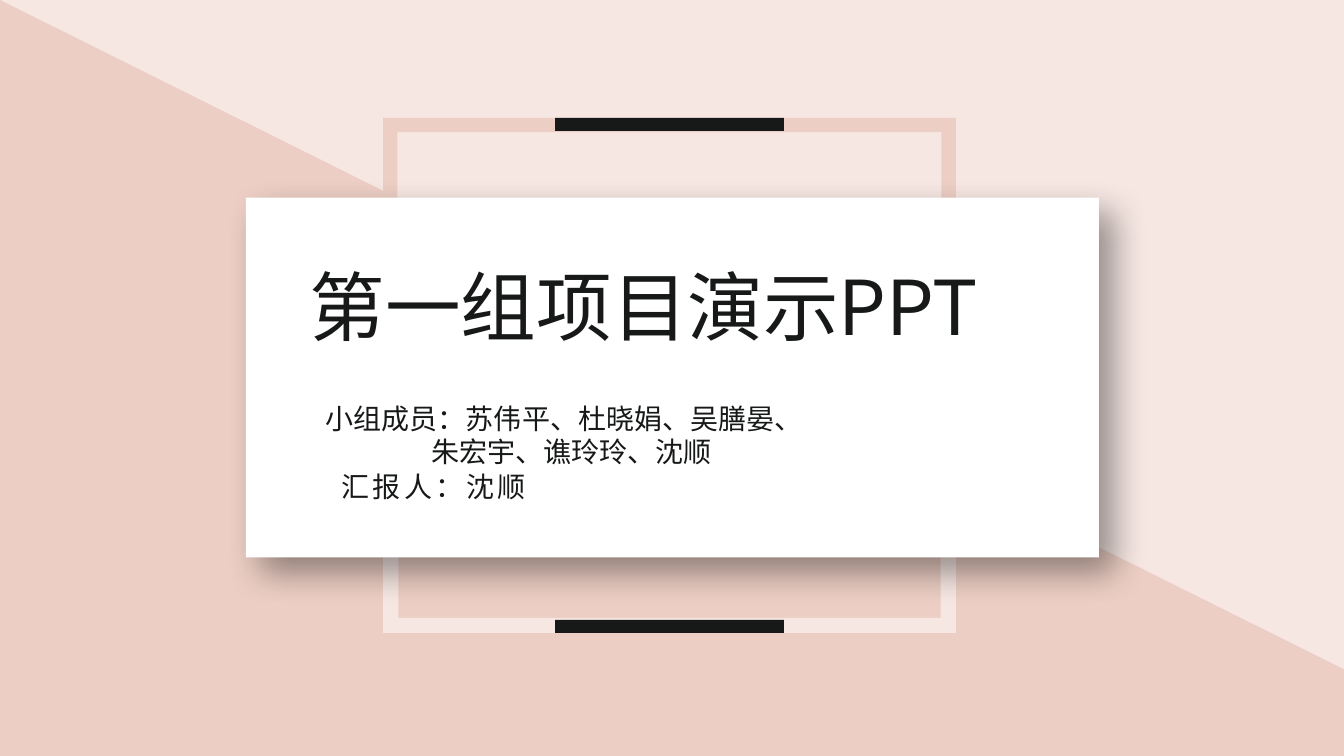
from lxml.etree import SubElement
from pptx import Presentation
from pptx.dml.color import RGBColor
from pptx.enum.shapes import MSO_SHAPE as Preset
from pptx.enum.text import MSO_ANCHOR as Anchor, MSO_AUTO_SIZE as AutoSize, PP_ALIGN as Align
from pptx.oxml.ns import qn
from pptx.util import Inches, Pt

BLUSH = RGBColor(0xF6, 0xE7, 0xE2)
ROSE = RGBColor(0xEC, 0xCE, 0xC4)
WHITE = RGBColor(0xFF, 0xFF, 0xFF)
INK = RGBColor(0x17, 0x19, 0x19)
FONT = "Noto Sans CJK SC"


def place(shape, left, top, width, height):
    shape.left, shape.top = Inches(left), Inches(top)
    shape.width, shape.height = Inches(width), Inches(height)


def add_filled(slide, preset, box, color):
    shape = slide.shapes.add_shape(preset, *map(Inches, box))
    shape.shadow.inherit = False
    shape.fill.solid()
    shape.fill.fore_color.rgb = color
    shape.line.fill.background()
    return shape


def add_soft_shadow(shape):
    effects = shape.element.spPr.find(qn("a:effectLst"))
    shadow = SubElement(effects, qn("a:outerShdw"), blurRad=str(Pt(25)), dist=str(Pt(15)),
                        dir=str(45 * 60000), algn="tl", rotWithShape="0")
    color = SubElement(shadow, qn("a:srgbClr"), val="000000")
    SubElement(color, qn("a:alpha"), val="38000")


def write_lines(shape, lines, size, align=Align.LEFT, spacing=0):
    frame = shape.text_frame
    frame.word_wrap = True
    frame.auto_size = AutoSize.NONE
    frame.vertical_anchor = Anchor.TOP
    frame.text = "\n".join(lines)
    for paragraph in frame.paragraphs:
        paragraph.alignment = align
        paragraph.space_before = Pt(0)
        font = paragraph.font
        font.size = Pt(size)
        font.name = FONT
        font.color.rgb = INK
        properties = font._element
        SubElement(properties, qn("a:ea"), typeface=FONT)
        if spacing:
            properties.set("spc", str(round(spacing * 100)))


def add_backdrop(slide):
    slide.background.fill.solid()
    slide.background.fill.fore_color.rgb = BLUSH
    add_filled(slide, Preset.RIGHT_TRIANGLE, (0, 0, 16.2, 8.07), ROSE)


def add_frames(slide, left, top, width, bottom):
    for frame_top, height, color in ((bottom - 4.06, 4.06, BLUSH), (top, 3.84, ROSE)):
        frame = add_filled(slide, Preset.FRAME, (left, frame_top, width, height), color)
        frame.adjustments[0] = 0.037


def add_accent_bars(slide, left, top, width, bottom):
    bar_width, bar_height = 2.27, 0.13
    bar_left = left + (width - bar_width) / 2
    for bar_top in (top, bottom - bar_height):
        add_filled(slide, Preset.RECTANGLE, (bar_left, bar_top, bar_width, bar_height), INK)


def add_title_card(slide, left, top, width, height):
    card = add_filled(slide, Preset.RECTANGLE, (left, top, width, height), WHITE)
    add_soft_shadow(card)

    title, members = slide.placeholders
    place(title, left + 0.53, top + 0.57, 7.39, 1.01)
    write_lines(title, ["第一组项目演示PPT"], 54, Align.JUSTIFY)

    place(members, left + 0.69, top + 1.97, 7.08, 0.77)
    write_lines(members, ["小组成员：苏伟平、杜晓娟、吴膳晏、", "朱宏宇、谯玲玲、沈顺"], 20)
    second_line = members.text_frame.paragraphs[1]
    second_line._p.get_or_add_pPr().set("marL", str(Inches(1.05)))

    for placeholder in (title, members):
        slide.shapes.element.append(placeholder.element)

    reporter = slide.shapes.add_textbox(0, 0, 0, 0)
    place(reporter, left + 0.88, top + 2.66, 2.68, 0.41)
    frame = reporter.text_frame
    frame.margin_left = frame.margin_right = Inches(0.07)
    frame.margin_top = frame.margin_bottom = Inches(0.04)
    write_lines(reporter, ["汇报人：沈顺"], 20, spacing=2.2)


def build_cover(presentation):
    slide = presentation.slides.add_slide(presentation.slide_layouts[0])
    frame_box = (3.8, 1.17, 5.68, 6.28)
    add_backdrop(slide)
    add_frames(slide, *frame_box)
    add_title_card(slide, 2.44, 1.96, 8.46, 3.57)
    add_accent_bars(slide, *frame_box)


def main():
    presentation = Presentation()
    presentation.slide_width = Inches(13.33)
    presentation.slide_height = Inches(7.5)
    build_cover(presentation)
    presentation.save("out.pptx")


if __name__ == "__main__":
    main()
